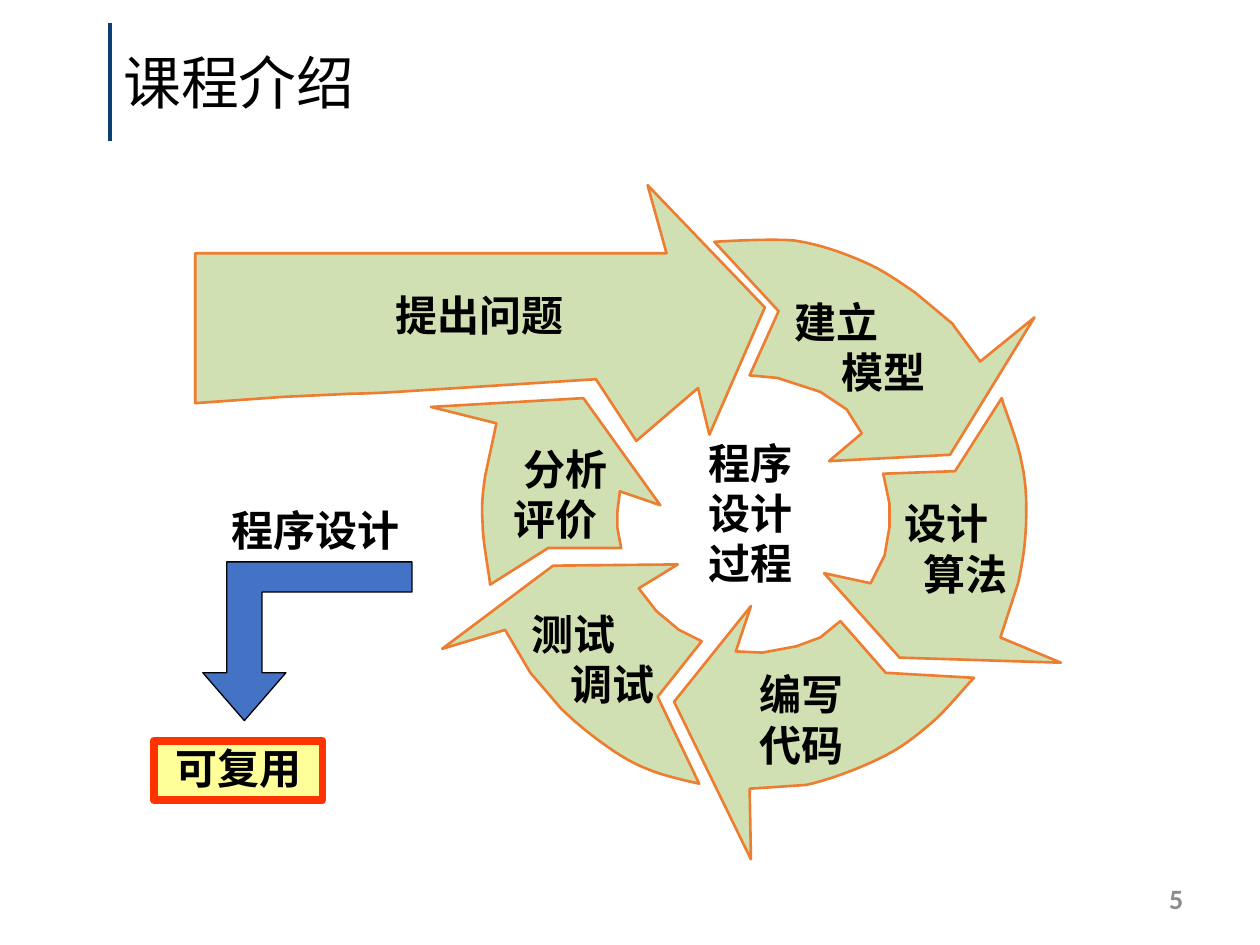
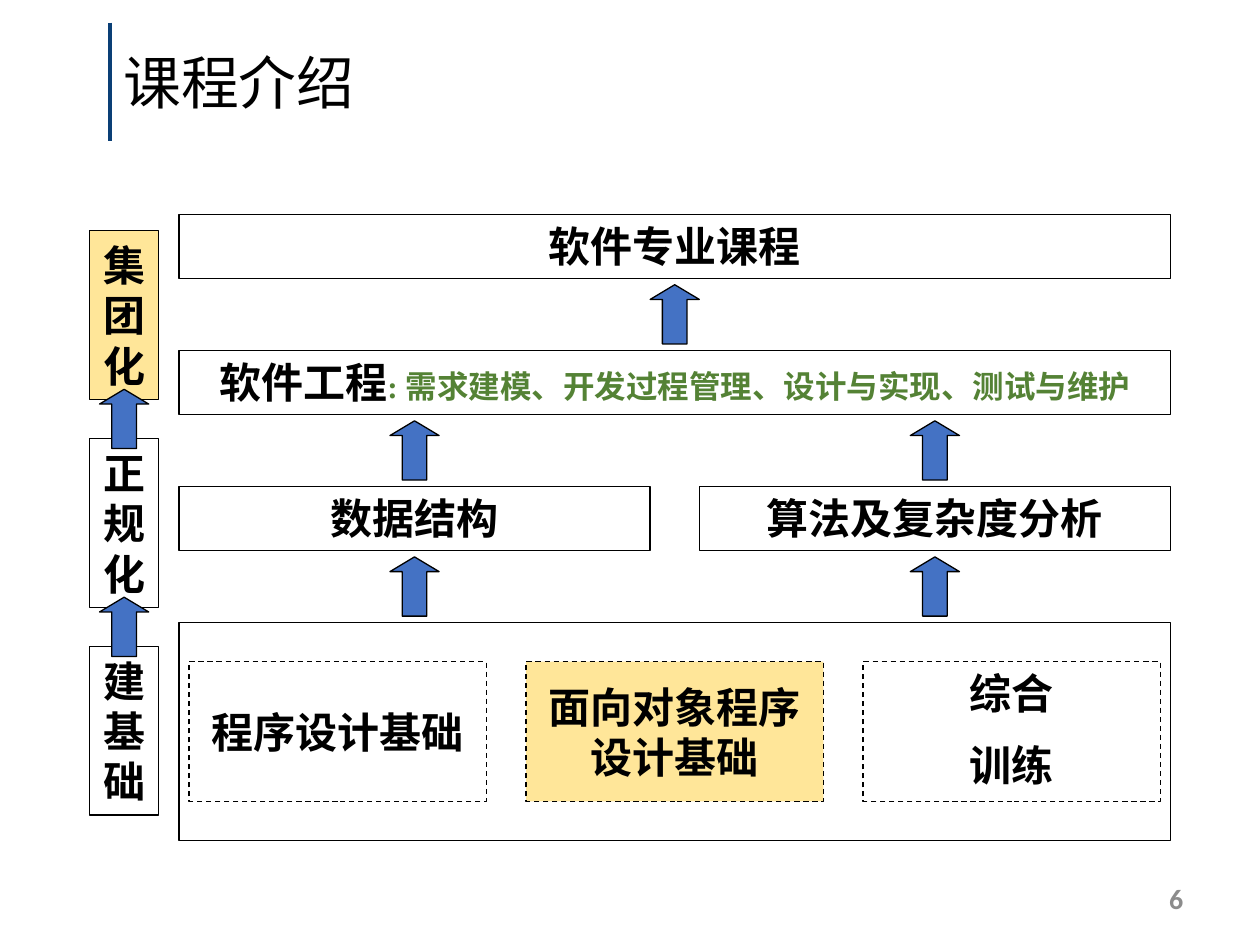
from lxml import etree
from pptx import Presentation
from pptx.dml.color import RGBColor
from pptx.enum.dml import MSO_LINE
from pptx.enum.shapes import MSO_CONNECTOR, MSO_SHAPE
from pptx.enum.text import MSO_ANCHOR, PP_ALIGN
from pptx.oxml.ns import qn
from pptx.util import Inches, Pt

RECT, UP_ARROW = MSO_SHAPE.RECTANGLE, MSO_SHAPE.UP_ARROW
TOP, MIDDLE = MSO_ANCHOR.TOP, MSO_ANCHOR.MIDDLE
LEFT, CENTER = PP_ALIGN.LEFT, PP_ALIGN.CENTER
DASH = MSO_LINE.DASH

BLACK = RGBColor(0x00, 0x00, 0x00)
NAVY = RGBColor(0x0A, 0x3F, 0x76)
GRAY = RGBColor(0x8C, 0x8C, 0x8C)
LEAF = RGBColor(0xD1, 0xE0, 0xB2)
ORANGE = RGBColor(0xED, 0x7D, 0x31)
BLUE = RGBColor(0x44, 0x72, 0xC4)
YELLOW = RGBColor(0xFF, 0xFF, 0x99)
RED = RGBColor(0xFF, 0x33, 0x00)
GOLD = RGBColor(0xFF, 0xE6, 0x99)
GREEN = RGBColor(0x54, 0x82, 0x35)

HEAD_FONT, BODY_FONT = "Calibri", "Times New Roman"
BODY_SIZE = 24
TITLE = "课程介绍"
FIRST_PAGE = 5

# Outlines in inches: a pair ends a straight edge, six numbers end a Bezier curve.
CYCLE_OUTLINES = {
    "建立模型": [
        (5.67, 1.92), (6.18, 2.47), (5.95, 2.98), (6.17, 3), (6.51, 3.11), (6.72, 3.25),
        (6.84, 3.44), (6.58, 3.66), (7.54, 3.61), (8.21, 2.52), (7.78, 2.87), (7.58, 2.6),
        (7.56, 2.57), (7.26, 2.32), (7.14, 2.24, 7.02, 2.15, 6.86, 2.08),
        (6.7, 2.01, 6.51, 1.94, 6.31, 1.91), (6.11, 1.89, 5.67, 1.92, 5.67, 1.92)],
    "设计算法": [
        (7.95, 3.16), (7.58, 3.74), (7.01, 3.76), (7.06, 4), (7.06, 4.18), (7.02, 4.41),
        (6.91, 4.63), (6.54, 4.55), (7.14, 5.22), (8.42, 5.26), (7.94, 5.06), (8.08, 4.63),
        (8.11, 4.49, 8.13, 4.38, 8.14, 4.22), (8.15, 4.06, 8.15, 3.85, 8.11, 3.68),
        (8.08, 3.5, 7.98, 3.27, 7.95, 3.16)],
    "编写代码": [
        (7.73, 5.38), (7.03, 5.34), (6.67, 4.93), (6.51, 5.06), (6.32, 5.13), (6.05, 5.18),
        (5.84, 5.17), (5.96, 4.81), (5.35, 5.57), (5.96, 6.82), (5.95, 6.26), (6.4, 6.23),
        (6.58, 6.19, 6.82, 6.1, 6.98, 6.02), (7.15, 5.94, 7.26, 5.85, 7.39, 5.74),
        (7.51, 5.64, 7.66, 5.45, 7.73, 5.38)],
    "测试调试": [
        (5.55, 6.22), (5.22, 5.53), (5.57, 5.09), (5.39, 5), (5.21, 4.85), (5.07, 4.67),
        (5.38, 4.48), (4.39, 4.49), (3.51, 5.15), (4.01, 5), (4.21, 5.34), (4.45, 5.62),
        (4.54, 5.71, 4.66, 5.81, 4.77, 5.89), (4.88, 5.97, 5, 6.05, 5.13, 6.1),
        (5.26, 6.16, 5.55, 6.22, 5.55, 6.22)],
    "分析评价": [
        (3.89, 4.64), (4.35, 4.35), (4.93, 4.35), (4.9, 4.19), (4.9, 4.06), (4.92, 3.9),
        (5.24, 4.01), (4.63, 3.16), (3.42, 3.23), (3.94, 3.36), (3.85, 3.78),
        (3.83, 3.92, 3.82, 4.01, 3.83, 4.15), (3.83, 4.29, 3.88, 4.54, 3.89, 4.64)],
    "提出问题": [
        (1.55, 2.01), (5.29, 2.01), (5.14, 1.47), (6.07, 2.44), (5.63, 3.45), (5.54, 3.08),
        (5.05, 3.5), (4.73, 3.01), (3.16, 3.11), (2.83, 3.13, 2.85, 3.12, 2.69, 3.13),
        (2.25, 3.15), (1.55, 3.2)],
}
REUSE_ARROW = [
    (1.94, 5.72), (2.27, 5.34), (2.08, 5.34), (2.08, 4.7), (3.27, 4.7), (3.27, 4.46),
    (1.8, 4.46), (1.8, 5.34), (1.61, 5.34)]

# Lines, place, alignment, and the indent of each line in inches.
CYCLE_LABELS = [
    (["提出问题"], (2.76, 2.25, 2.09, 0.5), CENTER, (0,)),
    (["建立", "模型"], (6.21, 2.3, 1.37, 0.91), LEFT, (0, 0.37)),
    (["设计", "算法"], (7.08, 3.9, 1.21, 0.91), LEFT, (0, 0.15)),
    (["编写", "代码"], (5.93, 5.26, 1.37, 0.9), LEFT, (0, 0)),
    (["测试", "调试"], (4.12, 4.78, 1.37, 0.9), LEFT, (0, 0.31)),
    (["分析", "评价"], (3.98, 3.47, 1.37, 0.9), LEFT, (0.08, 0)),
    (["程序", "设计", "过程"], (4.91, 3.42, 2.09, 1.3), CENTER, (0, 0, 0)),
]

# Course levels from top to bottom; each course is a list of paragraphs.
COURSE_LEVELS = [
    [["软件专业课程"]],
    [[[("软件工程", BODY_SIZE, BLACK),
       (": 需求建模、开发过程管理、设计与实现、测试与维护", 18, GREEN)]]],
    [["数据结构"], ["算法及复杂度分析"]],
]
BASIC_COURSES = [
    (["程序设计基础"], None, MIDDLE),
    (["面向对象程序设计基础"], GOLD, MIDDLE),
    (["综合", "训练"], None, TOP),
]
STAGES = [("集团化", GOLD), ("正规化", None), ("建基础", None)]

GRID_LEFT, GRID_TOP, GRID_WIDTH = 1.42, 1.7, 7.87
LEVEL_HEIGHT, LEVEL_PITCH, COLUMN_GAP = 0.51, 1.08, 0.39
BASE_HEIGHT, BASIC_WIDTH, BASIC_HEIGHT, BASE_MARGIN = 1.73, 2.36, 1.11, 0.08
STAGE_LEFT, STAGE_TOP, STAGE_WIDTH = 0.71, 1.83, 0.55
STAGE_HEIGHT, STAGE_PITCH = 1.34, 1.65
ARROW_WIDTH, ARROW_HEIGHT = 0.39, 0.47


def inches(*lengths):
    return [Inches(length) for length in lengths]


def paint(shape, fill=None, line=None, width=0.75, dash=None):
    shape.shadow.inherit = False
    if fill is None:
        shape.fill.background()
    else:
        shape.fill.solid()
        shape.fill.fore_color.rgb = fill
    shape.line.color.rgb = line or BLACK
    shape.line.width = Pt(width)
    if dash:
        shape.line.dash_style = dash


def write(shape, paragraphs, font=BODY_FONT, size=BODY_SIZE, color=BLACK, bold=True,
          align=CENTER, anchor=TOP, insets=(0.1, 0.05), spacing=None, before=0, indents=None):
    """Fill a shape; a paragraph is a string or a list of (text, size, colour) runs."""
    frame = shape.text_frame
    frame.word_wrap = True
    frame.vertical_anchor = anchor
    frame.margin_left = frame.margin_right = Inches(insets[0])
    frame.margin_top = frame.margin_bottom = Inches(insets[1])
    for index, content in enumerate(paragraphs):
        paragraph = frame.add_paragraph() if index else frame.paragraphs[0]
        paragraph.alignment = align
        if spacing:
            paragraph.line_spacing = spacing
        if index and before:
            paragraph.space_before = Pt(before)
        if indents and indents[index]:
            paragraph._p.get_or_add_pPr().set("marL", str(Inches(indents[index])))
        runs = [(content, size, color)] if isinstance(content, str) else content
        for text, run_size, run_color in runs:
            run = paragraph.add_run()
            run.text = text
            run.font.name = font
            run.font.size = Pt(run_size)
            run.font.bold = bold
            run.font.color.rgb = run_color


def add_text(slide, place, paragraphs, **style):
    write(slide.shapes.add_textbox(*inches(*place)), paragraphs, **style)


def add_box(slide, place, paragraphs=(), fill=None, line=None, width=0.75, dash=None, **style):
    box = slide.shapes.add_shape(RECT, *inches(*place))
    paint(box, fill, line, width, dash)
    write(box, paragraphs, **style)


def add_up_arrow(slide, center_x, center_y):
    arrow = slide.shapes.add_shape(UP_ARROW, *inches(
        center_x - ARROW_WIDTH / 2, center_y - ARROW_HEIGHT / 2, ARROW_WIDTH, ARROW_HEIGHT))
    arrow.adjustments[0], arrow.adjustments[1] = 0.5, 0.3
    paint(arrow, BLUE)


def flatten(outline, steps=8):
    """Turn the curves of an outline into short straight edges."""
    points = []
    for item in outline:
        if len(item) == 2:
            points.append(item)
            continue
        controls = [points[-1], item[:2], item[2:4], item[4:]]
        for step in range(1, steps + 1):
            t = step / steps
            weights = ((1 - t) ** 3, 3 * t * (1 - t) ** 2, 3 * t * t * (1 - t), t ** 3)
            points.append(tuple(sum(w * c[axis] for w, c in zip(weights, controls))
                                for axis in (0, 1)))
    return points


def add_outline(slide, outline, **look):
    start, *others = [inches(*point) for point in flatten(outline)]
    builder = slide.shapes.build_freeform(*start)
    builder.add_line_segments(others, close=True)
    paint(builder.convert_to_shape(), **look)


def add_page(deck, number):
    """Add a slide with the title, its vertical rule and the page number."""
    slide = deck.slides.add_slide(deck.slide_layouts[6])
    rule = slide.shapes.add_connector(MSO_CONNECTOR.STRAIGHT, *inches(0.87, 0.18, 0.87, 1.12))
    rule.line.color.rgb = NAVY
    rule.line.width = Pt(2.25)
    etree.SubElement(rule._element.spPr, qn("a:effectLst"))
    add_text(slide, (9.06, 6.93, 0.55, 0.4), [str(number)], font=HEAD_FONT, size=16,
             color=GRAY, anchor=MIDDLE)
    add_text(slide, (0.88, 0.16, 8.62, 0.98), [TITLE], font=HEAD_FONT, size=33,
             bold=False, align=LEFT, anchor=MIDDLE)
    return slide


def draw_cycle(slide):
    for outline in CYCLE_OUTLINES.values():
        add_outline(slide, outline, fill=LEAF, line=ORANGE, width=1.5)
    for lines, place, align, indents in CYCLE_LABELS:
        add_text(slide, place, lines, align=align, indents=indents)
    tight = dict(anchor=MIDDLE, insets=(0.04, 0), spacing=0.95)
    add_box(slide, (1.22, 5.88, 1.34, 0.47), ["可复用"], fill=YELLOW, line=RED, width=4.5, **tight)
    add_outline(slide, REUSE_ARROW, fill=BLUE)
    add_text(slide, (1.68, 3.99, 1.65, 0.47), ["程序设计"], **tight)


def draw_courses(slide):
    half = (GRID_WIDTH - COLUMN_GAP) / 2
    half_centers = [GRID_LEFT + half / 2, GRID_LEFT + GRID_WIDTH - half / 2]
    arrow_columns = [[GRID_LEFT + GRID_WIDTH / 2], half_centers, half_centers]
    for row, (courses, centers) in enumerate(zip(COURSE_LEVELS, arrow_columns)):
        top = GRID_TOP + row * LEVEL_PITCH
        width = (GRID_WIDTH - COLUMN_GAP * (len(courses) - 1)) / len(courses)
        for column, paragraphs in enumerate(courses):
            left = GRID_LEFT + column * (width + COLUMN_GAP)
            add_box(slide, (left, top, width, LEVEL_HEIGHT), paragraphs)
        for center in centers:
            add_up_arrow(slide, center, top + (LEVEL_HEIGHT + LEVEL_PITCH) / 2)

    base_top = GRID_TOP + len(COURSE_LEVELS) * LEVEL_PITCH
    add_box(slide, (GRID_LEFT, base_top, GRID_WIDTH, BASE_HEIGHT))
    pitch = (GRID_WIDTH - 2 * BASE_MARGIN - BASIC_WIDTH) / (len(BASIC_COURSES) - 1)
    basic_top = base_top + (BASE_HEIGHT - BASIC_HEIGHT) / 2
    for column, (paragraphs, fill, anchor) in enumerate(BASIC_COURSES):
        left = GRID_LEFT + BASE_MARGIN + column * pitch
        add_box(slide, (left, basic_top, BASIC_WIDTH, BASIC_HEIGHT), paragraphs,
                fill=fill, dash=DASH, anchor=anchor, before=12)

    stage_tops = [STAGE_TOP + row * STAGE_PITCH for row in range(len(STAGES))]
    for top, (stage, fill) in zip(stage_tops, STAGES):
        add_box(slide, (STAGE_LEFT, top, STAGE_WIDTH, STAGE_HEIGHT), list(stage),
                fill=fill, anchor=MIDDLE, insets=(0, 0))
    for top in stage_tops[:-1]:
        add_up_arrow(slide, STAGE_LEFT + STAGE_WIDTH / 2, top + (STAGE_HEIGHT + STAGE_PITCH) / 2)


def main():
    deck = Presentation()
    deck.slide_width, deck.slide_height = inches(10, 7.5)
    for number, draw in enumerate((draw_cycle, draw_courses), FIRST_PAGE):
        draw(add_page(deck, number))
    deck.save("out.pptx")


if __name__ == "__main__":
    main()
